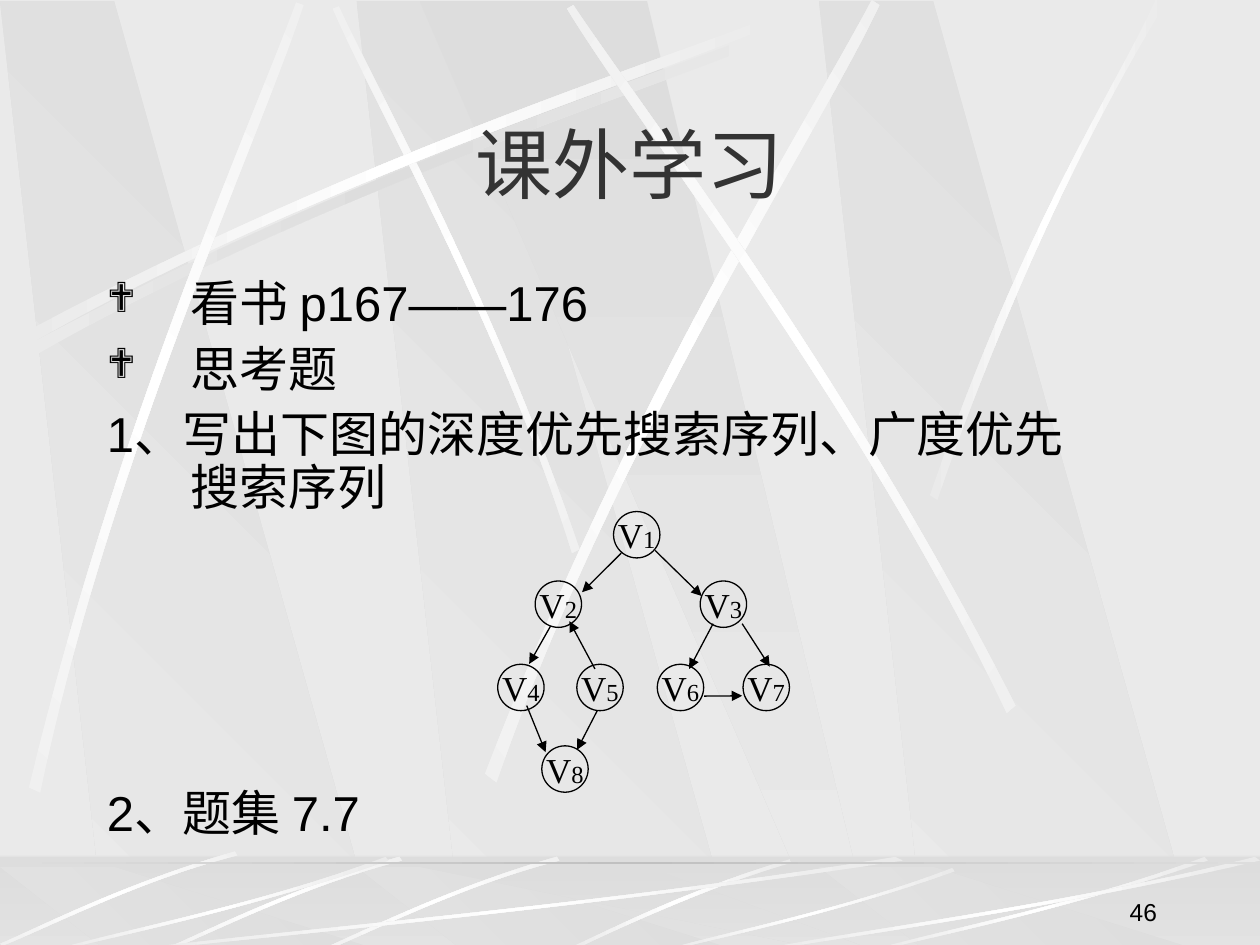
"""Build the after-class study slide with its graph exercise."""
from math import cos, radians, sin

from lxml.etree import SubElement
from pptx import Presentation
from pptx.dml.color import RGBColor
from pptx.enum.shapes import MSO_CONNECTOR, MSO_SHAPE
from pptx.enum.text import MSO_ANCHOR, PP_ALIGN
from pptx.oxml import parse_xml
from pptx.oxml.ns import nsdecls, qn
from pptx.util import Pt

COLORS = {"paper": "EAEAEA", "shade": "DDDDDD", "light": "FFFFFF",
          "rule": "C0C0C0", "title": "333333", "ink": "000000"}
FACET = ("shade", "paper")
GLOW = ("paper", "light", "paper")
SHADOW = ("paper", "shade", "paper")
HORIZON = ("shade", "rule", "shade")

PANEL = [(0.28, 1), (1, 1), (0.3, 0), (0, 0)]
BEAM = [(0, 0), (0.9, 1), (1, 1), (0.5, 0)]
SWEEP = [(1, 0.04), (0.57, 0.57), (0.17, 0.85), (0.01, 1),
         (0, 0.99), (0.16, 0.81), (0.62, 0.51), (0.99, 0)]
PANEL_LEFTS = (203.8, 0, 468)
SWEEP_BOXES = [(72, 489.6, 444, 54), (30.2, 489.6, 192, 54), (379.4, 496, 166.3, 47.5),
               (498.2, 489.6, 192, 54), (432, 489.6, 288, 54)]

RIDGE = [(10, 192.2), (200.2, 90), (373, 36.7), (446.4, 7.2),
         (448.6, 11.5), (375.8, 43.9), (178.6, 103), (12.2, 199.4)]
WALL_STREAKS = [
    ([(x + 4.3, y + 5.8) for x, y in RIDGE], 0, SHADOW),
    ([(331.2, 313.9), (281.5, 168.5), (217.4, 55.4), (193.7, 3.6),
      (190.1, 5), (212.4, 56.9), (286.6, 185.8), (326.9, 316.1)], 45, GLOW),
    (RIDGE, 0, GLOW),
    ([(16.6, 450), (67, 240.5), (141.8, 75.6), (169.2, 1.4),
      (173.5, 2.9), (149, 77.8), (61.9, 265), (23, 452.9)], 311.7, GLOW),
    ([(277.2, 442.1), (358.6, 230.4), (459.4, 73.4), (498.2, 0),
      (502.6, 2.9), (467.3, 77.8), (349.9, 255.6), (283.7, 447.1)], 321.6, GLOW),
    ([(580.3, 403.2), (482.4, 211), (371.5, 68.4), (327.6, 2.9),
      (324, 5), (365, 72.7), (493.2, 234), (575.3, 407.5)], 34.8, GLOW),
    ([(531.4, 283), (586.1, 124.6), (639.4, 47.5), (660.2, 0),
      (667.4, 0), (601.9, 104.4), (553.7, 231.8), (535.7, 285.8)], 0, GLOW),
]
FLOOR_STREAK = [(451.4, 491), (386.6, 510.5), (343.4, 534.2), (322.6, 542.9),
                (326.2, 543.6), (352.8, 530.6), (411.1, 504), (452.2, 493.2)]
SHORT_STREAK = [(318.2, 489.6), (255.6, 507.6), (206.6, 532.8), (184.3, 542.2),
                (185, 543.6), (207.4, 535), (262.8, 506.2), (319.7, 491.8)]
SHORT_SHIFTS = [(0, 0), (-90, 0), (-184, -3)]

NODE_SIZE = 26.5
NODES = {"1": (350.6, 292.3), "2": (305.8, 332), "4": (284.4, 379.6), "5": (329.6, 379.6),
         "3": (400.1, 332), "7": (424.6, 379.6), "6": (375.6, 379.6), "8": (309.6, 426.2)}
EDGES = [(355, 316.1, 332.6, 338.4), (374.4, 314.6, 401, 340.6),
         (314.6, 357.8, 302.4, 379.4), (340, 382.3, 325.4, 355),
         (301, 403.2, 311.8, 429.8), (341.3, 406.1, 329.8, 428.4),
         (407.5, 356.4, 393.8, 382.3), (402.3, 397.8, 424.1, 397.6),
         (424.1, 356.4, 439.9, 380.9)]
TASKS = [("看书 p167——176", True, 0), ("思考题", True, 7),
         ("1、写出下图的深度优先搜索序列、广度优先搜索序列", False, 7),
         ("2、题集 7.7", False, 156)]


def rgb(key):
    """Return the named colour."""
    return RGBColor.from_string(COLORS[key])


def apply(target, values):
    """Set every attribute in a dict of format values."""
    for key, value in values.items():
        setattr(target, key, value)


def paint_gradient(shape, stops, angle):
    """Fill a shape with an even gradient and no outline."""
    shape.shadow.inherit = False
    shape.line.fill.background()
    marks = "".join(
        f'<a:gs pos="{100000 * i // (len(stops) - 1)}"><a:srgbClr val="{COLORS[key]}"/></a:gs>'
        for i, key in enumerate(stops))
    gradient = parse_xml(
        f'<a:gradFill {nsdecls("a")} rotWithShape="1"><a:gsLst>{marks}</a:gsLst>'
        f'<a:lin ang="{angle * 60000}" scaled="0"/></a:gradFill>')
    shape.element.spPr.find(qn("a:ln")).addprevious(gradient)


def turn(point, degrees):
    """Rotate a point clockwise about the slide corner."""
    x, y, a = *point, radians(degrees)
    return x * cos(a) - y * sin(a), x * sin(a) + y * cos(a)


def fit(outline, left, top, width, height):
    """Scale an outline of fractions into a box."""
    return [(left + x * width, top + y * height) for x, y in outline]


def add_outline(slide, points, stops, angle, rotation=0):
    """Add a closed outline whose points show its rotated position."""
    flat = [tuple(Pt(v) for v in turn(p, -rotation)) for p in points]
    builder = slide.shapes.build_freeform(*flat[0], scale=1.0)
    builder.add_line_segments(flat[1:], close=True)
    shape = builder.convert_to_shape()
    half_width, half_height = shape.width / 2, shape.height / 2
    x, y = turn((shape.left + half_width, shape.top + half_height), rotation)
    apply(shape, {"left": round(x - half_width), "top": round(y - half_height),
                  "rotation": rotation})
    paint_gradient(shape, stops, angle)
    return shape


def add_streak(slide, controls, rotation=0, stops=GLOW):
    """Add a streak bounded by two cubic curves."""
    streak = add_outline(slide, controls, stops, 180, rotation)
    corners = list(streak.element.spPr.iter(qn("a:lnTo")))
    for side in (corners[:3], corners[4:]):
        curve = parse_xml(f'<a:cubicBezTo {nsdecls("a")}/>')
        side[0].addprevious(curve)
        for corner in side:
            curve.append(corner[0])
            corner.getparent().remove(corner)


def add_facets(slide, top, height):
    """Add the three slanted panels and the beam over them."""
    for left in PANEL_LEFTS:
        add_outline(slide, fit(PANEL, left, top, 217.4, height), FACET, 135)
    add_outline(slide, fit(BEAM, 239.8, top, 260, height), FACET, 90)


def add_band(slide, top, height):
    """Add a full-width band."""
    return slide.shapes.add_shape(MSO_SHAPE.RECTANGLE, 0, Pt(top), Pt(720), Pt(height))


def add_veil(slide):
    """Add the half-transparent band over the floor."""
    veil = add_band(slide, 488.9, 54)
    veil.shadow.inherit = False
    veil.line.fill.background()
    veil.fill.solid()
    veil.fill.fore_color.rgb = rgb("shade")
    tint = veil.element.spPr.find(qn("a:solidFill"))[0]
    SubElement(tint, qn("a:alpha"), val="50000")


def add_backdrop(slide):
    """Add the wall and floor decoration."""
    slide.background.fill.solid()
    slide.background.fill.fore_color.rgb = rgb("paper")
    add_facets(slide, 0.7, 541)
    for controls, rotation, stops in WALL_STREAKS:
        add_streak(slide, controls, rotation, stops)
    paint_gradient(add_band(slide, 489.6, 54), FACET, 90)
    add_facets(slide, 495.4, 47.8)
    add_veil(slide)
    add_streak(slide, FLOOR_STREAK)
    for dx, dy in SHORT_SHIFTS:
        add_streak(slide, [(x + dx, y + dy) for x, y in SHORT_STREAK], 314.9)
    for box in SWEEP_BOXES:
        add_streak(slide, fit(SWEEP, *box))
    paint_gradient(add_band(slide, 492.5, 1.5), HORIZON, 180)


def add_run(paragraph, text, size, face, color="ink"):
    """Add a run of styled text."""
    run = paragraph.add_run()
    run.text = text
    apply(run.font, {"size": Pt(size), "name": face})
    run.font.color.rgb = rgb(color)


def add_frame(slide, box, anchor):
    """Add a wrapping text box and return its frame."""
    frame = slide.shapes.add_textbox(*map(Pt, box)).text_frame
    apply(frame, {"word_wrap": True, "vertical_anchor": anchor})
    return frame


def add_label(slide, box, anchor, align, *style):
    """Add a text box with one line."""
    paragraph = add_frame(slide, box, anchor).paragraphs[0]
    paragraph.alignment = align
    add_run(paragraph, *style)


def add_tasks(slide):
    """Add the list of reading and exercises."""
    frame = add_frame(slide, (54, 156.2, 581, 339.8), MSO_ANCHOR.TOP)
    for i, (text, bulleted, gap) in enumerate(TASKS):
        task = frame.add_paragraph() if i else frame.paragraphs[0]
        apply(task, {"line_spacing": 0.9, "space_before": Pt(gap)})
        layout = task._p.get_or_add_pPr()
        layout.set("marL", str(Pt(48)))
        layout.set("indent", str(-Pt(48)))
        if bulleted:
            SubElement(SubElement(layout, qn("a:buClr")), qn("a:srgbClr"), val=COLORS["ink"])
            SubElement(layout, qn("a:buSzPct"), val="85000")
            SubElement(layout, qn("a:buFont"), typeface="Wingdings")
            SubElement(layout, qn("a:buChar"), char="❖")
        add_run(task, text, 28, "Arial")


def add_node(slide, number, left, top):
    """Add a graph vertex."""
    node = slide.shapes.add_shape(MSO_SHAPE.OVAL, *map(Pt, (left, top, NODE_SIZE, NODE_SIZE)))
    node.shadow.inherit = False
    node.fill.background()
    node.line.color.rgb = rgb("ink")
    node.line.width = Pt(0.75)
    apply(node.text_frame, {"word_wrap": False, "vertical_anchor": MSO_ANCHOR.MIDDLE})
    name = node.text_frame.paragraphs[0]
    name.alignment = PP_ALIGN.CENTER
    add_run(name, "V", 20, "Times New Roman")
    add_run(name, number, 14, "Times New Roman")


def add_edge(slide, ends):
    """Add a directed graph edge."""
    edge = slide.shapes.add_connector(MSO_CONNECTOR.STRAIGHT, *map(Pt, ends))
    edge.line.color.rgb = rgb("ink")
    edge.line.width = Pt(0.75)
    SubElement(edge.line._get_or_add_ln(), qn("a:tailEnd"), type="triangle")
    SubElement(edge._element.spPr, qn("a:effectLst"))


def main():
    """Build and save the slide."""
    deck = Presentation()
    apply(deck, {"slide_width": Pt(720), "slide_height": Pt(540)})
    slide = deck.slides.add_slide(deck.slide_layouts[6])
    add_backdrop(slide)
    add_label(slide, (54, 62.6, 612, 60.5), MSO_ANCHOR.MIDDLE, PP_ALIGN.CENTER,
              "课外学习", 44, "Montserrat", "title")
    add_tasks(slide)
    for number, corner in NODES.items():
        add_node(slide, number, *corner)
    for ends in EDGES:
        add_edge(slide, ends)
    add_label(slide, (518.4, 496.8, 149.8, 36), MSO_ANCHOR.BOTTOM, PP_ALIGN.RIGHT,
              "46", 14, "Arial")
    deck.save("out.pptx")


if __name__ == "__main__":
    main()
